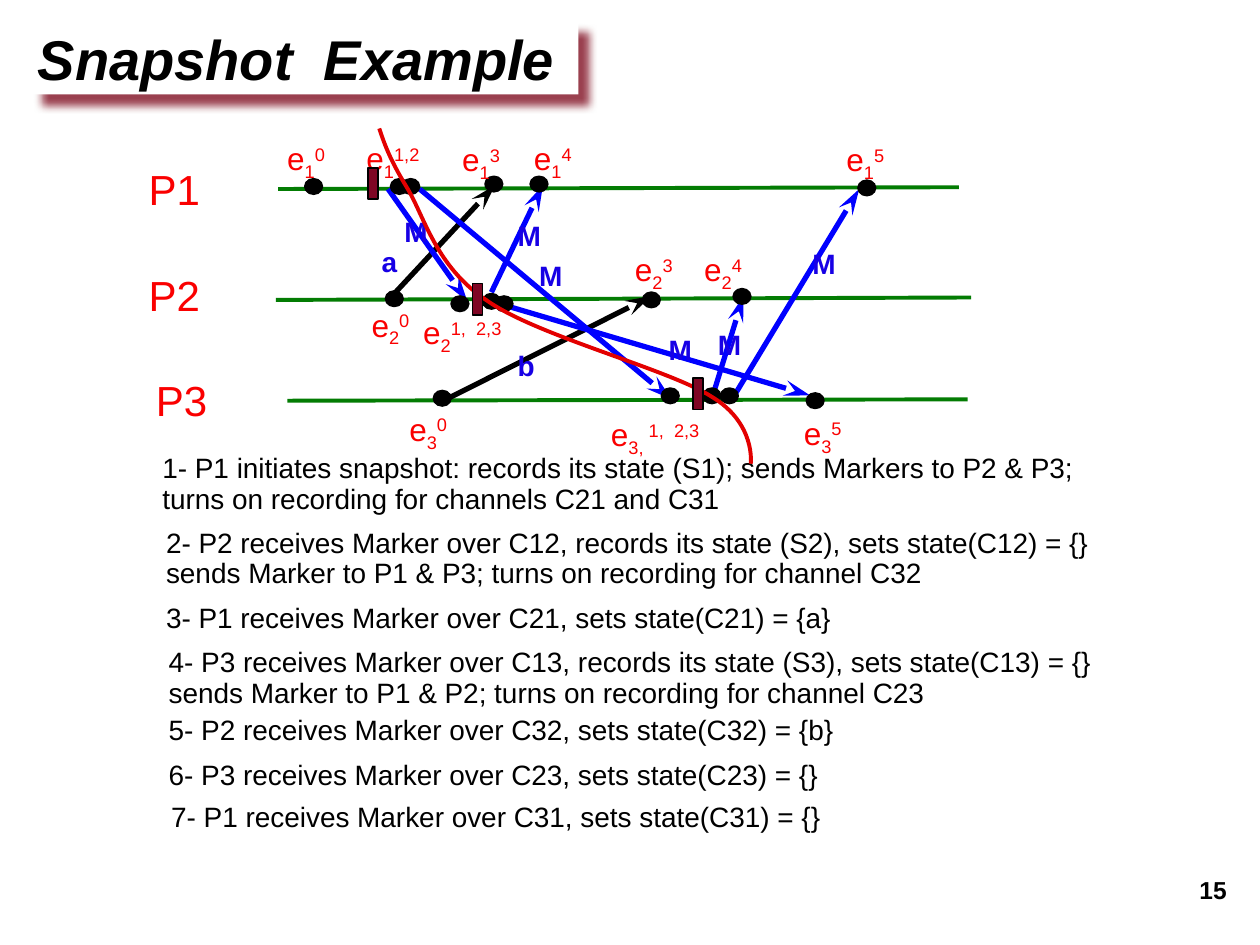
"""Build the snapshot example slide with its three process timelines."""
from dataclasses import dataclass
from typing import NamedTuple

from lxml.etree import SubElement
from pptx import Presentation
from pptx.dml.color import RGBColor
from pptx.enum.shapes import MSO_CONNECTOR, MSO_SHAPE
from pptx.enum.text import MSO_ANCHOR
from pptx.oxml.ns import qn
from pptx.util import Pt


@dataclass(frozen=True)
class Theme:
    font: str = "Arial"
    black: str = "000000"
    white: str = "FFFFFF"
    red: str = "FA0000"
    green: str = "037C03"
    blue: str = "0000FF"
    ink: str = "1700E5"
    cut: str = "E30000"
    bar: str = "7F0624"
    shade: str = "790015"
    title: int = 32
    name: int = 24
    event: int = 18
    body: int = 16
    page: int = 14


class Box(NamedTuple):
    x: float
    y: float
    w: float
    h: float


class Line(NamedTuple):
    x1: float
    y1: float
    x2: float
    y2: float
    color: str


class Event(NamedTuple):
    x: float
    y: float
    sub: str
    sup: str
    w: float = 43.9


class Label(NamedTuple):
    x: float
    y: float
    text: str


class Step(NamedTuple):
    x: float
    y: float
    rows: int
    text: str


THEME = Theme()
DECK = Presentation()
DECK.slide_width, DECK.slide_height = Pt(720), Pt(540)
SHAPES = DECK.slides.add_slide(DECK.slide_layouts[6]).shapes

RAILS = [
    Line(159, 108, 548, 107, THEME.green),
    Line(157.7, 171.4, 555, 170, THEME.green),
    Line(164.2, 229, 553, 228.2, THEME.green),
]
NAMES = [Label(77.8, 92.9, "P1"), Label(77.8, 154, "P2"), Label(82, 213.8, "P3")]
SENDS = [
    Line(224, 169.2, 283, 105.8, THEME.black),
    Line(252, 229.7, 372.2, 169.2, THEME.black),
    Line(221.8, 108, 267, 172, THEME.blue),
    Line(239.8, 108, 383.8, 228.2, THEME.blue),
    Line(280.8, 167, 310.3, 105.8, THEME.blue),
    Line(290.2, 175, 463, 226, THEME.blue),
    Line(408.2, 223.2, 424.8, 169.2, THEME.blue),
    Line(418.3, 228.2, 491, 108, THEME.blue),
]
DOTS = [
    (174.2, 102.2), (223.2, 102.2), (229.7, 102.2), (277.2, 100.8), (303, 100.8), (490.3, 103),
    (220.3, 166.3), (257.8, 169.2), (275.8, 167.8), (283, 169.2), (367.2, 167), (419, 165),
    (247.7, 223.2), (378, 221.8), (401.8, 221.8), (411.8, 221.8), (460.8, 224.6),
]
EVENTS = [
    Event(157, 76.3, "1", "0"), Event(202.3, 76.3, "1", "1,2", 49.7),
    Event(257, 77, "1", "3"), Event(298, 76.3, "1", "4"), Event(476.6, 77, "1", "5"),
    Event(205.2, 171.4, "2", "0"), Event(234.7, 175.7, "2", "1,  2,3", 64.8),
    Event(355.7, 139.7, "2", "3"), Event(395.3, 139.7, "2", "4"),
    Event(226.8, 231, "3", "0"), Event(342, 234, "3, ", "1,  2,3", 77.8),
    Event(452.2, 233.3, "3", "5"),
]
NOTES = [
    Label(211, 138.2, "a"), Label(288.7, 198, "b"), Label(301, 146.2, "M"),
    Label(224, 121, "M"), Label(288.7, 123.8, "M"), Label(375, 188.6, "M"),
    Label(457.2, 139.7, "M"), Label(403.2, 185.8, "M"),
]
STEPS = [
    Step(85.7, 256.3, 2, "1- P1 initiates snapshot: records its state (S1); sends Markers to "
         "P2 & P3; turns on recording for channels C21 and C31"),
    Step(87.8, 298.8, 2, "2- P2 receives Marker over C12, records its state (S2), sets "
         "state(C12) = {} sends Marker to P1 & P3; turns on recording for channel C32"),
    Step(87.8, 342, 1, "3- P1 receives Marker over C21, sets state(C21) = {a}"),
    Step(89.3, 367.2, 2, "4- P3 receives Marker over C13, records its state (S3), sets "
         "state(C13) = {} sends Marker to P1 & P2; turns on recording for channel C23"),
    Step(89.3, 406, 1, "5- P2 receives Marker over C32, sets state(C32) = {b}"),
    Step(89.3, 431.3, 1, "6- P3 receives Marker over C23, sets state(C23) = {}"),
    Step(90.7, 455.8, 1, "7- P1 receives Marker over C31, sets state(C31) = {}"),
]
CURVE = [
    (216.7, 73.4), (219.6, 82), (222.5, 90.7), (232.6, 107.3), (242.6, 123.8), (249, 152.6),
    (278.6, 172), (307.4, 192.2), (382.3, 211), (406.8, 226.8), (432, 242), (429, 265), (429, 265),
]
BARS = [(210.2, 95.8), (270, 162), (396, 216)]


def rgb(code: str) -> RGBColor:
    return RGBColor.from_string(code)


def style(para, size: int, color: str, bold: bool = False, slant: bool = False) -> None:
    font = para.font
    font.name, font.size, font.bold, font.italic = THEME.font, Pt(size), bold, slant
    font.color.rgb = rgb(color)


def write(box: Box, runs: list[tuple[str, int]], size: int, color: str, bold: bool = False):
    frame = SHAPES.add_textbox(*map(Pt, box)).text_frame
    frame.word_wrap = True
    para = frame.paragraphs[0]
    para.line_spacing = 0.9
    style(para, size, color, bold)
    for text, base in runs:
        run = para.add_run()
        run.text = text
        if base:
            run.font._element.set("baseline", str(base * 1000))
    return frame


def solid(kind: MSO_SHAPE, box: Box, fill: str, edge: str | None = None):
    shape = SHAPES.add_shape(kind, *map(Pt, box))
    shape.shadow.inherit = False
    shape.fill.solid()
    shape.fill.fore_color.rgb = rgb(fill)
    if edge:
        shape.line.color.rgb, shape.line.width = rgb(edge), Pt(1)
    else:
        shape.line.fill.background()
    return shape


def stroke(line: Line, width: float, head: bool = False) -> None:
    link = SHAPES.add_connector(MSO_CONNECTOR.STRAIGHT, *map(Pt, line[:4]))
    link.line.color.rgb, link.line.width = rgb(line.color), Pt(width)
    if head:
        SubElement(link.line._get_or_add_ln(), qn("a:tailEnd"), type="stealth", w="med", len="lg")
    SubElement(link._element.spPr, qn("a:effectLst"))


def banner(text: str) -> None:
    shape = solid(MSO_SHAPE.RECTANGLE, Box(18, 12.2, 312.5, 41.8), THEME.white)
    glow = shape._element.spPr.find(qn("a:effectLst"))
    cast = SubElement(glow, qn("a:outerShdw"), blurRad=str(Pt(5)), dist=str(Pt(8.5)),
                      dir="2700000", algn="tl", rotWithShape="0")
    tint = SubElement(cast, qn("a:srgbClr"), val=THEME.shade)
    SubElement(tint, qn("a:alpha"), val="75000")
    frame = shape.text_frame
    frame.word_wrap, frame.vertical_anchor = False, MSO_ANCHOR.MIDDLE
    frame.margin_left = frame.margin_right = Pt(3.6)
    frame.margin_top = frame.margin_bottom = Pt(1.5)
    para = frame.paragraphs[0]
    para.text, para.alignment = text, 1
    style(para, THEME.title, THEME.black, True, True)


def bend(points: list[tuple[float, float]]) -> None:
    start, *rest = [(Pt(x), Pt(y)) for x, y in points]
    pen = SHAPES.build_freeform(*start)
    pen.add_line_segments(rest, close=False)
    shape = pen.convert_to_shape()
    shape.shadow.inherit = False
    shape.fill.background()
    shape.line.color.rgb, shape.line.width = rgb(THEME.cut), Pt(2.25)
    legs = list(shape._element.iter(qn("a:lnTo")))
    track = legs[0].getparent()
    for first in range(0, len(legs), 3):
        curve = SubElement(track, qn("a:cubicBezTo"))
        for leg in legs[first:first + 3]:
            curve.append(leg[0])
            track.remove(leg)


banner("Snapshot  Example")
page = write(Box(642.2, 498.2, 77.8, 30.2), [("15", 0)], THEME.page, THEME.black, True)
page.margin_left = Pt(43.2)
for rail in RAILS:
    stroke(rail, 2.25)
for send in SENDS:
    stroke(send, 3, True)
for x, y in DOTS:
    solid(MSO_SHAPE.OVAL, Box(x, y, 10, 8.8), THEME.black, THEME.black)
for name in NAMES:
    write(Box(name.x, name.y, 90.7, 33), [(name.text, 0)], THEME.name, THEME.red)
for e in EVENTS:
    write(Box(e.x, e.y, e.w, 26.6), [("e", 0), (e.sub, -25), (e.sup, 30)], THEME.event, THEME.red)
for note in NOTES:
    write(Box(note.x, note.y, 28.8, 24.5), [(note.text, 0)], THEME.body, THEME.ink, True)
for step in STEPS:
    write(Box(step.x, step.y, 550, 7.2 + 17.3 * step.rows), [(step.text, 0)], THEME.body, THEME.black)
bend(CURVE)
for x, y in BARS:
    solid(MSO_SHAPE.RECTANGLE, Box(x, y, 5.8, 18), THEME.bar, THEME.black)
DECK.save("out.pptx")
